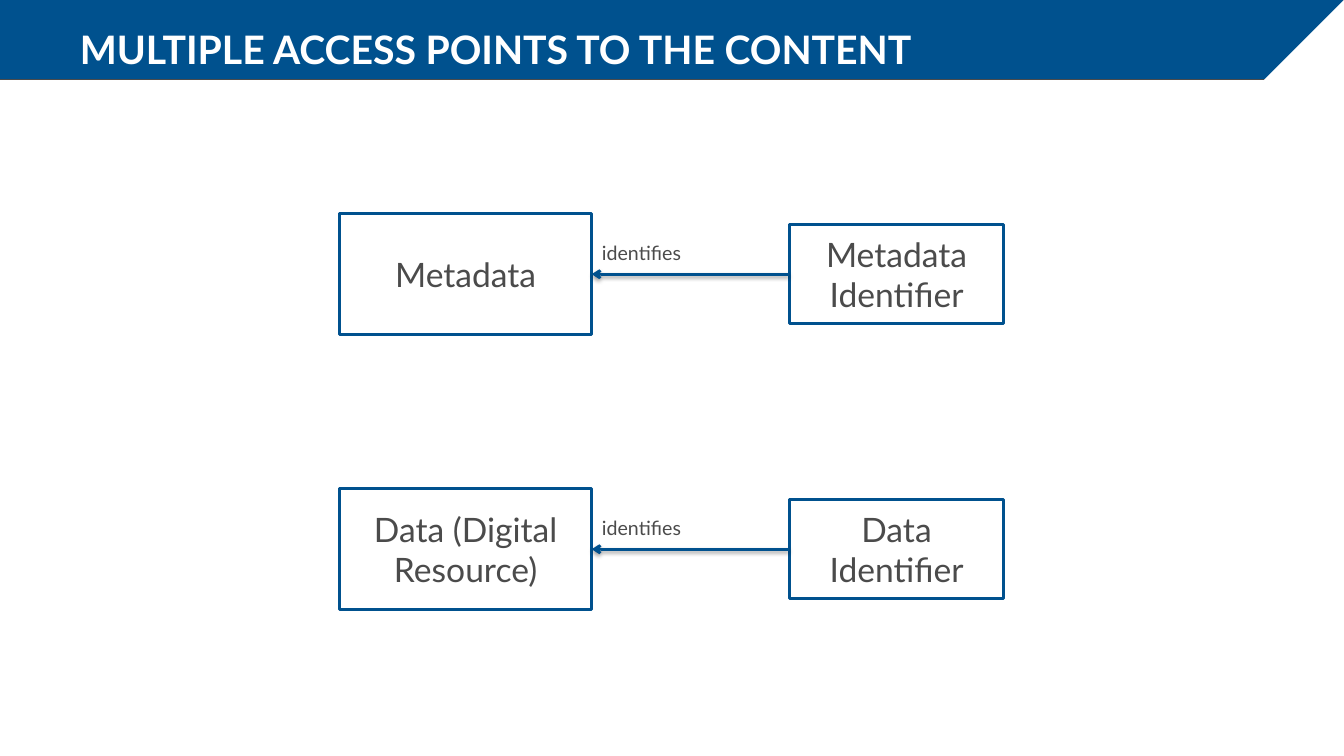
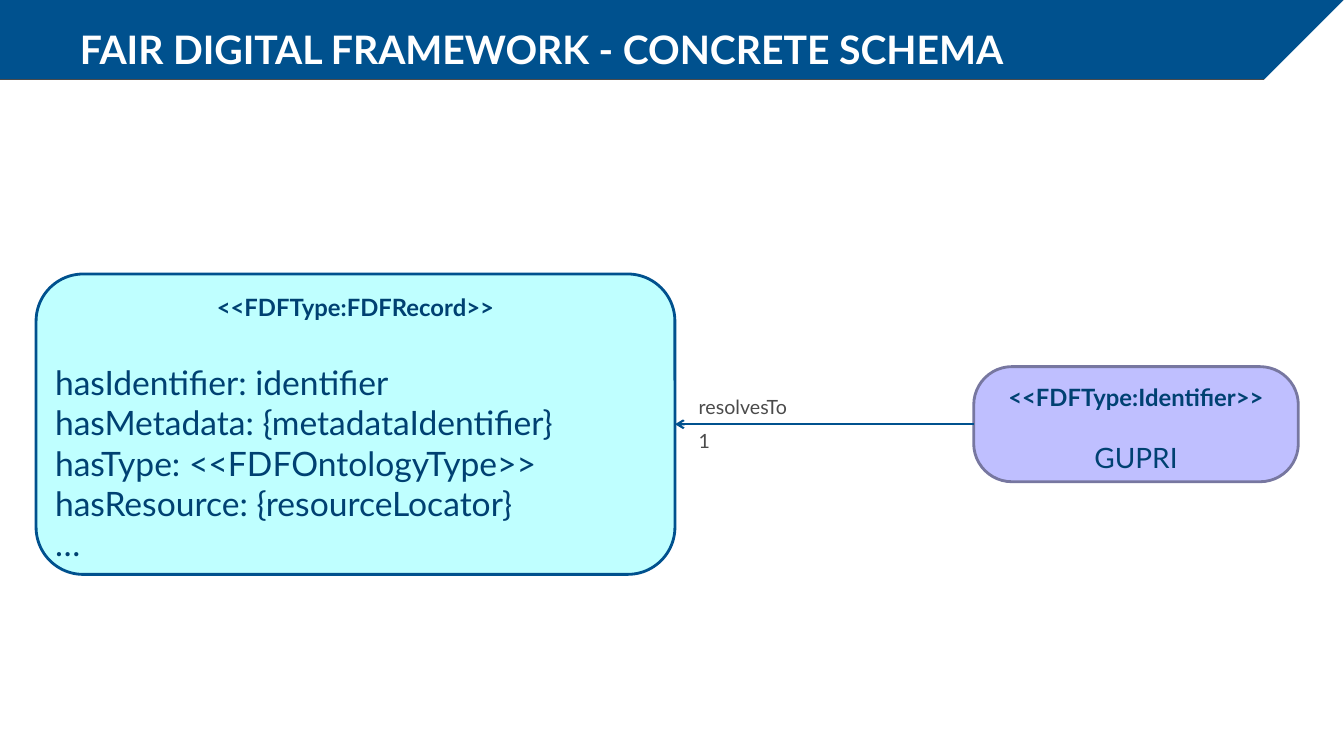
"""Build two slides on access points and the digital framework schema."""
from dataclasses import dataclass

from lxml import etree
from pptx import Presentation
from pptx import util as u
from pptx.dml.color import RGBColor
from pptx.enum import shapes, text
from pptx.oxml import parse_xml
from pptx.oxml.ns import nsdecls, qn

ALIGN = text.PP_ALIGN
ANCHOR = text.MSO_ANCHOR
KIND = shapes.MSO_SHAPE


@dataclass(frozen=True)
class Theme:
    font: str = "Lato"
    blue: str = "00518E"
    navy: str = "004172"
    grey: str = "4B4B4B"
    white: str = "FFFFFF"
    aqua: str = "BFFFFF"
    lilac: str = "BFBFFF"
    slate: str = "7777A0"
    title: float = 28
    body: float = 24
    name: float = 20
    stereotype: float = 17
    label: float = 14
    stroke: float = 2
    inset: float = 0.13


THEME = Theme()
WIDTH, HEIGHT = 33.87, 19.05
BAND_HEIGHT, CORNER = 2.01, 2.05


@dataclass(frozen=True)
class Line:
    words: str
    size: float = THEME.body
    color: str = THEME.grey
    bold: bool = False
    align: ALIGN = ALIGN.CENTER
    before: float = 0


@dataclass(frozen=True)
class Node:
    left: float
    middle: float
    width: float
    height: float
    lines: tuple[Line, ...]
    fill: str = THEME.white
    border: str = THEME.blue
    rounding: float = 0
    anchor: ANCHOR = ANCHOR.MIDDLE


@dataclass(frozen=True)
class Label:
    words: str
    left: float
    top: float
    width: float


def rgb(color: str) -> RGBColor:
    return RGBColor.from_string(color)


def write(para, words: str, *, size: float, color: str, bold: bool = False,
          align=ALIGN.LEFT, before: float = 0) -> None:
    para.alignment = align
    para.space_before = u.Pt(before)
    span = para.add_run()
    span.text = words
    span.font.name = THEME.font
    span.font.size = u.Pt(size)
    span.font.bold = bold
    span.font.color.rgb = rgb(color)


def set_frame(frame, *, anchor, inset: float = THEME.inset, wrap: bool = True,
              fit=text.MSO_AUTO_SIZE.NONE) -> None:
    frame.margin_left = frame.margin_right = u.Cm(inset)
    frame.margin_top = frame.margin_bottom = u.Cm(inset)
    frame.vertical_anchor = anchor
    frame.word_wrap = wrap
    frame.auto_size = fit


def paint(shape, fill: str, border: str | None = None,
          stroke: float = THEME.stroke) -> None:
    shape.shadow.inherit = False
    shape.fill.solid()
    shape.fill.fore_color.rgb = rgb(fill)
    if border is None:
        shape.line.fill.background()
    else:
        shape.line.color.rgb = rgb(border)
        shape.line.width = u.Pt(stroke)


def move_band_to_layout(page) -> None:
    band = page.shapes.add_shape(KIND.RECTANGLE, 0, 0, u.Cm(WIDTH), u.Cm(BAND_HEIGHT))
    paint(band, THEME.blue, THEME.grey, 0.75)
    builder = page.shapes.build_freeform(u.Cm(WIDTH), 0)
    builder.add_line_segments([(u.Cm(WIDTH), u.Cm(CORNER)),
                               (u.Cm(WIDTH - CORNER), u.Cm(CORNER))])
    corner = builder.convert_to_shape()
    paint(corner, THEME.white)
    tree = page.slide_layout.shapes.element
    for position, shape in enumerate((band, corner), start=2):
        tree.insert(position, shape.element)


def add_page(deck, heading: str):
    page = deck.slides.add_slide(deck.slide_layouts[5])
    title = page.shapes.title
    title.left, title.top = u.Cm(2.01), u.Cm(0.63)
    title.width, title.height = u.Cm(29.87), u.Cm(1.2)
    set_frame(title.text_frame, anchor=ANCHOR.BOTTOM, inset=0)
    write(title.text_frame.paragraphs[0], heading, size=THEME.title,
          color=THEME.white, bold=True)
    return page


def add_node(page, node: Node):
    kind = KIND.ROUNDED_RECTANGLE if node.rounding else KIND.RECTANGLE
    box = page.shapes.add_shape(kind, u.Cm(node.left), u.Cm(node.middle - node.height / 2),
                                u.Cm(node.width), u.Cm(node.height))
    if node.rounding:
        box.adjustments[0] = node.rounding
    paint(box, node.fill, node.border)
    frame = box.text_frame
    set_frame(frame, anchor=node.anchor)
    for index, line in enumerate(node.lines):
        para = frame.add_paragraph() if index else frame.paragraphs[0]
        write(para, line.words, size=line.size, color=line.color, bold=line.bold,
              align=line.align, before=line.before)
    return box


def add_arrow(page, source, target, *, stroke: float = THEME.stroke,
              shadow: bool = False) -> None:
    arrow = page.shapes.add_connector(shapes.MSO_CONNECTOR.STRAIGHT, 0, 0, 0, 0)
    arrow.begin_connect(source, 1)
    arrow.end_connect(target, 3)
    arrow.line.color.rgb = rgb(THEME.blue)
    arrow.line.width = u.Pt(stroke)
    etree.SubElement(arrow.line._get_or_add_ln(), qn("a:tailEnd"), type="arrow")
    effects = etree.SubElement(arrow.element.spPr, qn("a:effectLst"))
    if shadow:
        effects.append(parse_xml(
            f'<a:outerShdw {nsdecls("a")} blurRad="{u.Pt(3)}" dist="{u.Pt(1.6)}" '
            'dir="5400000" rotWithShape="0"><a:srgbClr val="000000">'
            '<a:alpha val="38000"/></a:srgbClr></a:outerShdw>'))


def add_label(page, label: Label) -> None:
    box = page.shapes.add_textbox(u.Cm(label.left), u.Cm(label.top),
                                  u.Cm(label.width), u.Cm(0.81))
    set_frame(box.text_frame, anchor=ANCHOR.TOP, wrap=False,
              fit=text.MSO_AUTO_SIZE.SHAPE_TO_FIT_TEXT)
    write(box.text_frame.paragraphs[0], label.words, size=THEME.label, color=THEME.grey)


def build_access_points(deck):
    page = add_page(deck, "MULTIPLE ACCESS POINTS TO THE CONTENT")
    rows = (("Metadata", "Metadata Identifier"),
            ("Data (Digital Resource)", "Data Identifier"))
    for row, (content, identifier) in enumerate(rows):
        middle = 6.91 + 6.93 * row
        target = add_node(page, Node(8.56, middle, 6.35, 3.05, (Line(content),)))
        source = add_node(page, Node(19.89, middle, 5.41, 2.49, (Line(identifier),)))
        add_arrow(page, source, target, shadow=True)
        add_label(page, Label("identifies", 15.04, middle - 0.97, 2.36))
    return page


def build_schema(deck) -> None:
    page = add_page(deck, "FAIR DIGITAL FRAMEWORK - CONCRETE SCHEMA")
    fields = ("hasIdentifier: identifier", "hasMetadata: {metadataIdentifier}",
              "hasType: <<FDFOntologyType>>", "hasResource: {resourceLocator}", "…")
    heading = Line("<<FDFType:FDFRecord>>", THEME.stereotype, THEME.navy, True)
    field_lines = tuple(
        Line(field, color=THEME.navy, align=ALIGN.LEFT, before=0 if index else 28.8)
        for index, field in enumerate(fields))
    middle = 10.69
    record = add_node(page, Node(0.91, middle, 16.1, 7.57, (heading, *field_lines),
                                 THEME.aqua, rounding=0.157, anchor=ANCHOR.TOP))
    identifier = add_node(page, Node(
        24.54, middle, 8.18, 2.9,
        (Line("<<FDFType:Identifier>>", THEME.stereotype, THEME.navy, True),
         Line("GUPRI", THEME.name, THEME.navy, before=20.4)),
        THEME.lilac, THEME.slate, 0.332, ANCHOR.TOP))
    add_arrow(page, identifier, record, stroke=1.5)
    for label in (Label("resolvesTo", 17.48, middle - 0.88, 2.57),
                  Label("1", 17.48, middle, 0.56)):
        add_label(page, label)


def main() -> None:
    deck = Presentation()
    deck.slide_width, deck.slide_height = u.Cm(WIDTH), u.Cm(HEIGHT)
    first_page = build_access_points(deck)
    move_band_to_layout(first_page)
    build_schema(deck)
    deck.save("out.pptx")


if __name__ == "__main__":
    main()
